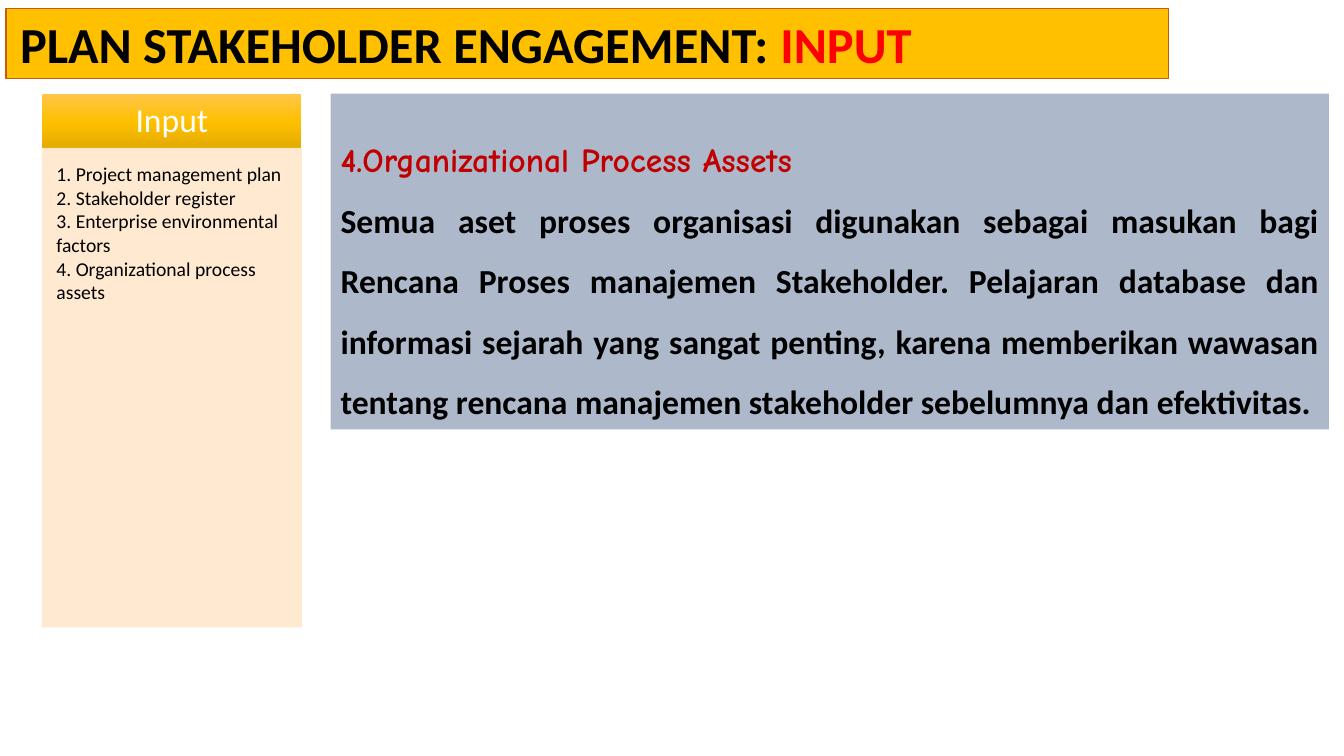
from copy import deepcopy

from lxml.etree import SubElement
from pptx import Presentation
from pptx.dml.color import RGBColor as RGB
from pptx.enum.shapes import MSO_SHAPE as SHAPE
from pptx.enum.text import MSO_ANCHOR as ANCHOR, PP_ALIGN as ALIGN
from pptx.oxml.ns import qn
from pptx.util import Inches, Pt

COLORS = {
    "black": "000000", "white": "FFFFFF", "red": "FF0000", "crimson": "C00000",
    "gold": "FFC000", "light": "FFC64B", "dark": "E3AB00", "rust": "C55A11",
    "cream": "FFE8CC", "slate": "ADB9CA",
}
INPUTS = [
    "Project management plan",
    "Stakeholder register",
    "Enterprise environmental factors",
    "Organizational process assets",
]
DETAIL = (
    "Semua aset proses organisasi digunakan sebagai masukan bagi Rencana Proses "
    "manajemen Stakeholder. Pelajaran database dan informasi sejarah yang sangat "
    "penting, karena memberikan wawasan tentang rencana manajemen stakeholder "
    "sebelumnya dan efektivitas."
)


def color(name):
    """Return the named colour."""
    return RGB.from_string(COLORS[name])


def add_box(slide, place, fill, insets, anchor=ANCHOR.TOP):
    """Add a borderless filled box with text insets."""
    box = slide.shapes.add_shape(SHAPE.RECTANGLE, *map(Inches, place))
    box.shadow.inherit = False
    box.fill.solid()
    box.fill.fore_color.rgb = color(fill)
    box.line.fill.background()
    frame = box.text_frame
    frame.word_wrap = True
    frame.vertical_anchor = anchor
    (frame.margin_left, frame.margin_top,
     frame.margin_right, frame.margin_bottom) = map(Inches, insets)
    return box


def set_line(box, name, width):
    """Outline a box."""
    box.line.color.rgb = color(name)
    box.line.width = Pt(width)


def set_alpha(box, percent):
    """Make the fill and outline of a box partly transparent."""
    for tint in box._element.spPr.iter(qn("a:srgbClr")):
        SubElement(tint, qn("a:alpha")).set("val", str(percent * 1000))


def set_blend(box, names):
    """Blend evenly spaced colours from top to bottom."""
    box.fill.gradient()
    box.fill.gradient_angle = 270
    stops = box._element.spPr.find(".//" + qn("a:gsLst"))
    stops.insert(1, deepcopy(stops[0]))
    for index, (stop, name) in enumerate(zip(box.fill.gradient_stops, names)):
        stop.position = index / (len(names) - 1)
        stop.color.rgb = color(name)


def style(part, size, name, bold=False, face="Calibri"):
    """Set the font of a run or paragraph."""
    font = part.font
    font.size, font.bold, font.name = Pt(size), bold, face
    font.color.rgb = color(name)


def add_title(slide):
    """Add the title bar."""
    bar = add_box(slide, (0.06, 0.08, 11.53, 0.7), "gold", (0.14, 0.05, 0.09, 0.05))
    set_line(bar, "rust", 0.75)
    para = bar.text_frame.paragraphs[0]
    para.alignment = ALIGN.LEFT
    for text, name in (("PLAN STAKEHOLDER ENGAGEMENT: ", "black"), ("INPUT", "red")):
        run = para.add_run()
        run.text = text
        style(run, 36, name, True)


def add_list(slide):
    """Add the input column with its heading."""
    head = add_box(slide, (0.42, 0.93, 2.57, 0.55), "gold",
                   (0.19, 0.11, 0.19, 0.11), ANCHOR.MIDDLE)
    set_blend(head, ("light", "gold", "dark"))
    para = head.text_frame.paragraphs[0]
    para.text = "Input"
    para.alignment, para.line_spacing = ALIGN.CENTER, 0.9
    style(para.runs[0], 24, "white")

    body = add_box(slide, (0.42, 1.47, 2.57, 4.75), "cream", (0.14, 0.14, 0.19, 0.21))
    set_line(body, "cream", 0.5)
    set_alpha(body, 90)
    frame = body.text_frame
    frame.text = "\n".join(f"{n}. {item}" for n, item in enumerate(INPUTS, 1))
    for para in frame.paragraphs:
        para.alignment = ALIGN.LEFT
        style(para.runs[0], 14, "black")


def add_detail(slide):
    """Add the panel that explains the fourth input."""
    panel = add_box(slide, (3.28, 0.93, 9.9, 3.33), "slate", (0.1, 0.05, 0.1, 0.05))
    frame = panel.text_frame
    frame.text = "4.Organizational Process Assets\n" + DETAIL
    head, body = frame.paragraphs
    head.alignment, head.line_spacing = ALIGN.LEFT, 2.0
    style(head.runs[0], 24, "crimson", True, "Comic Neue")
    body.alignment, body.line_spacing = ALIGN.JUSTIFY, 1.5
    style(body.runs[0], 24, "black", True)


def main():
    """Build and save the slide."""
    deck = Presentation()
    deck.slide_width, deck.slide_height = Inches(13.33), Inches(7.5)
    slide = deck.slides.add_slide(deck.slide_layouts[6])
    add_title(slide)
    add_list(slide)
    add_detail(slide)
    deck.save("out.pptx")


if __name__ == "__main__":
    main()
